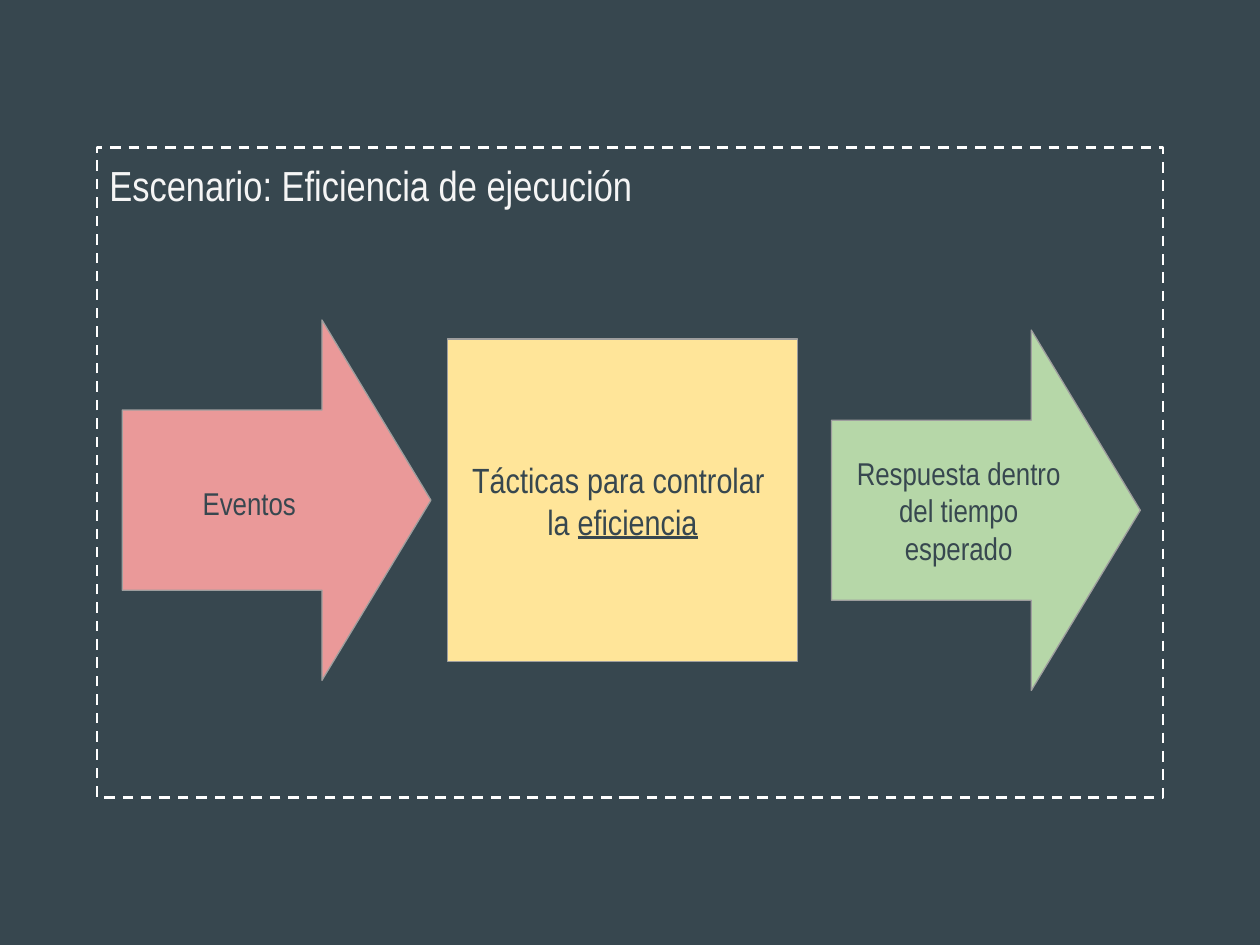
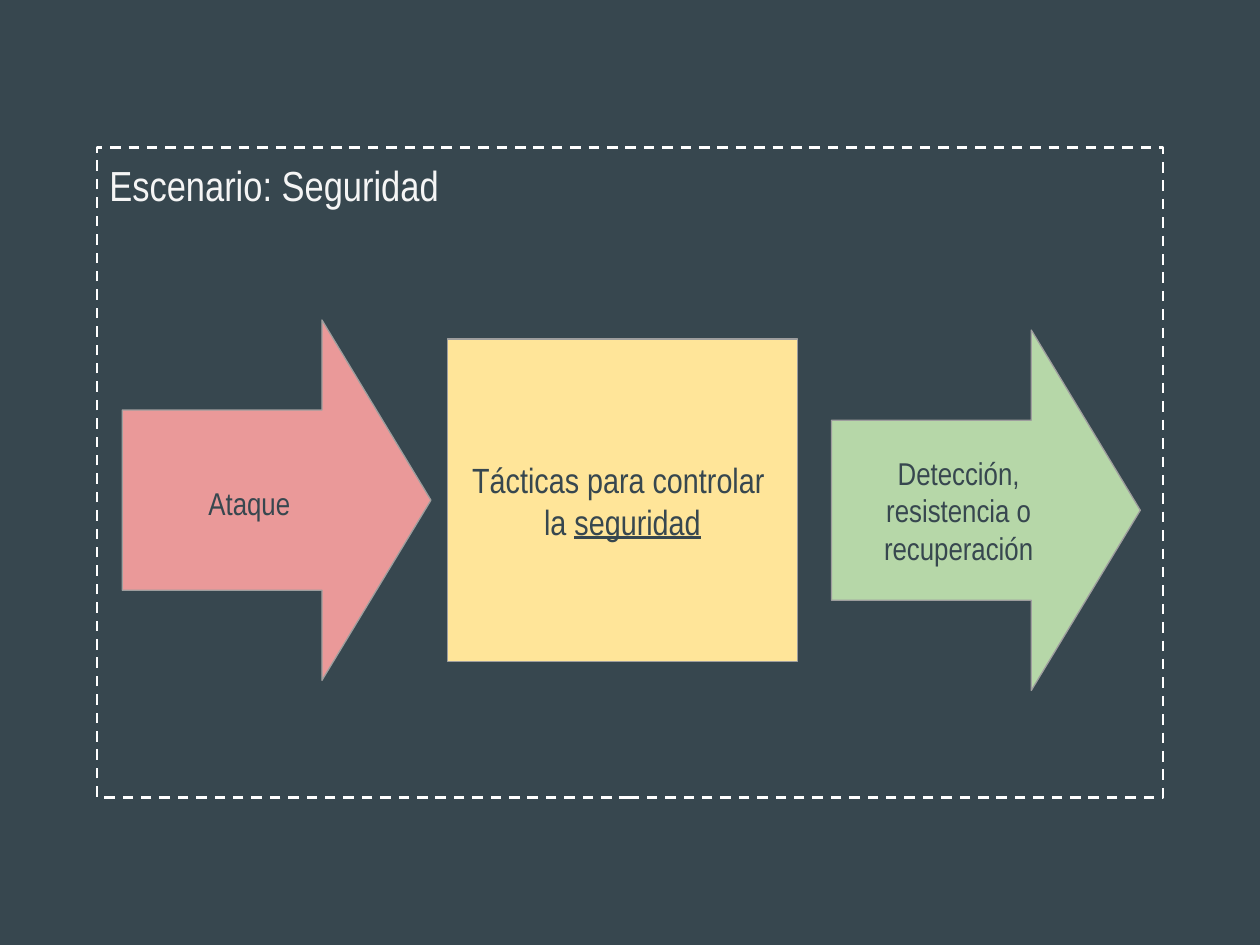
import dataclasses

import pptx
import pptx.dml.color
import pptx.enum.dml
import pptx.enum.shapes
import pptx.enum.text
import pptx.util

Inches = pptx.util.Inches
Pt = pptx.util.Pt
MSO_SHAPE = pptx.enum.shapes.MSO_SHAPE
MSO_ANCHOR = pptx.enum.text.MSO_ANCHOR
PP_ALIGN = pptx.enum.text.PP_ALIGN


@dataclasses.dataclass(frozen=True)
class Theme:
    """Colours, font and type sizes shared by the slides."""
    slate: str = "37474F"
    frame: str = "FFFFFF"
    title: str = "F5F5F5"
    outline: str = "9E9E9E"
    stimulus: str = "EA9999"
    tactics: str = "FFE599"
    response: str = "B6D7A8"
    font: str = "Arial Narrow"
    title_size: int = 24
    tactics_size: int = 20
    arrow_size: int = 18


@dataclasses.dataclass(frozen=True)
class Scenario:
    """Wording of one quality scenario."""
    name: str
    stimulus: str
    quality: str
    response: tuple


THEME = Theme()
SCENARIOS = (
    Scenario("Eficiencia de ejecución", "Eventos", "eficiencia",
             ("Respuesta dentro", "del tiempo esperado")),
    Scenario("Seguridad", "Ataque", "seguridad",
             ("Detección, resistencia o recuperación",)),
)
FRAME_BOX = (0.77, 1.17, 8.46, 5.16)
ARROW_SIZE = (2.45, 2.86)
STIMULUS_OFFSET = (0.2, 1.37)
TACTICS_BOX = (2.78, 1.52, 2.78, 2.56)
RESPONSE_OFFSET = (5.83, 1.45)


def rgb(code):
    """Turn a hex code into a colour."""
    return pptx.dml.color.RGBColor.from_string(code)


def add_panel(slide, kind, box, fill, line, width):
    """Add an outlined shape with even text insets."""
    panel = slide.shapes.add_shape(kind, *map(Inches, box))
    panel.shadow.inherit = False
    if fill:
        panel.fill.solid()
        panel.fill.fore_color.rgb = rgb(fill)
    else:
        panel.fill.background()
    panel.line.color.rgb = rgb(line)
    panel.line.width = Pt(width)
    frame = panel.text_frame
    frame.word_wrap = True
    frame.margin_left = frame.margin_right = Inches(0.1)
    frame.margin_top = frame.margin_bottom = Inches(0.1)
    return panel


def write(panel, paragraphs, size, color, align=PP_ALIGN.CENTER,
          anchor=MSO_ANCHOR.MIDDLE, spacing=None):
    """Write paragraphs of (text, underlined) runs into a panel."""
    frame = panel.text_frame
    frame.vertical_anchor = anchor
    for index, runs in enumerate(paragraphs):
        paragraph = frame.add_paragraph() if index else frame.paragraphs[0]
        paragraph.alignment = align
        paragraph.line_spacing = spacing
        for text, underlined in runs:
            run = paragraph.add_run()
            run.text = text
            run.font.name = THEME.font
            run.font.size = Pt(size)
            run.font.color.rgb = rgb(color)
            if underlined:
                run.font.underline = True


def add_frame(slide, box, name):
    """Draw the dashed frame with the scenario title."""
    frame = add_panel(slide, MSO_SHAPE.RECTANGLE, box, None, THEME.frame, 1.5)
    frame.line.dash_style = pptx.enum.dml.MSO_LINE.DASH
    write(frame, [[(f"Escenario: {name}", False)]], THEME.title_size,
          THEME.title, PP_ALIGN.LEFT, MSO_ANCHOR.TOP)


def add_arrow(slide, box, fill, lines, spacing=None):
    """Draw a labelled block arrow pointing right."""
    arrow = add_panel(slide, MSO_SHAPE.RIGHT_ARROW, box, fill, THEME.outline, 0.75)
    arrow.adjustments[0] = 0.5
    arrow.adjustments[1] = 0.353
    write(arrow, [[(line, False)] for line in lines], THEME.arrow_size,
          THEME.slate, spacing=spacing)


def add_tactics(slide, box, quality):
    """Draw the central box naming the controlled quality."""
    tactics = add_panel(slide, MSO_SHAPE.RECTANGLE, box, THEME.tactics,
                        THEME.outline, 0.75)
    write(tactics, [[("Tácticas para controlar ", False)],
                    [("la ", False), (quality, True)]],
          THEME.tactics_size, THEME.slate)


def add_scenario(deck, scenario, box):
    """Add a slide that shows one scenario inside the given box."""
    slide = deck.slides.add_slide(deck.slide_layouts[6])
    slide.background.fill.solid()
    slide.background.fill.fore_color.rgb = rgb(THEME.slate)
    left, top = box[:2]

    def place(dx, dy, width, height):
        """Shift a box from frame to slide coordinates."""
        return left + dx, top + dy, width, height

    add_frame(slide, box, scenario.name)
    add_arrow(slide, place(*STIMULUS_OFFSET, *ARROW_SIZE), THEME.stimulus,
              [scenario.stimulus], 1.15)
    add_tactics(slide, place(*TACTICS_BOX), scenario.quality)
    add_arrow(slide, place(*RESPONSE_OFFSET, *ARROW_SIZE), THEME.response,
              scenario.response)


def main():
    """Build and save the deck."""
    deck = pptx.Presentation()
    deck.slide_width = Inches(10)
    deck.slide_height = Inches(7.5)
    for scenario in SCENARIOS:
        add_scenario(deck, scenario, FRAME_BOX)
    deck.save("out.pptx")


if __name__ == "__main__":
    main()
